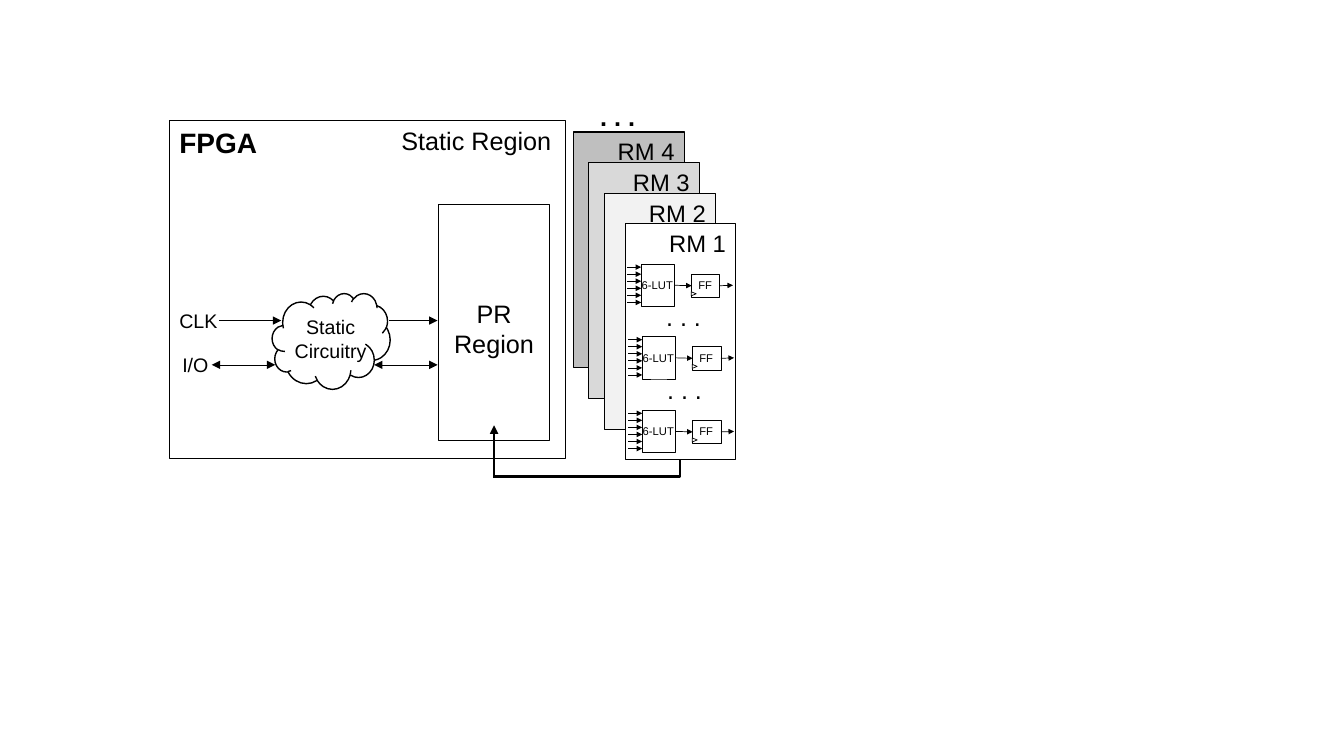
"""Draw an FPGA with a static region and swappable modules for its PR region."""
from lxml import etree
from pptx import Presentation
from pptx.dml.color import RGBColor
from pptx.enum.shapes import MSO_CONNECTOR, MSO_SHAPE
from pptx.enum.text import MSO_ANCHOR, MSO_AUTO_SIZE, PP_ALIGN
from pptx.oxml.ns import qn
from pptx.util import Inches, Pt

RECT, CLOUD, WEDGE = MSO_SHAPE.RECTANGLE, MSO_SHAPE.CLOUD, MSO_SHAPE.ISOSCELES_TRIANGLE
LINE, ELBOW = MSO_CONNECTOR.STRAIGHT, MSO_CONNECTOR.ELBOW
LEFT, MID, RIGHT = PP_ALIGN.LEFT, PP_ALIGN.CENTER, PP_ALIGN.RIGHT
TOP, CENTER = MSO_ANCHOR.TOP, MSO_ANCHOR.MIDDLE
FIT = MSO_AUTO_SIZE.SHAPE_TO_FIT_TEXT

BLACK, WHITE = "000000", "FFFFFF"
MODULES = [
    ("RM 4", 5.69, 1.31, "BFBFBF"),
    ("RM 3", 5.84, 1.61, "D9D9D9"),
    ("RM 2", 6, 1.92, "F2F2F2"),
    ("RM 1", 6.2, 2.22, WHITE),
]
WIRES = [
    ((2.1, 3.62), (2.73, 3.62), True),
    ((2.17, 3.18), (2.79, 3.18), False),
    ((3.71, 3.62), (4.34, 3.62), True),
    ((3.86, 3.18), (4.34, 3.18), False),
]
LABELS = [
    ("PR Region", (4.38, 2.91, 1.04, 0.71), 18, MID),
    ("I/O", (1.71, 3.45, 0.54, 0.34), 14, LEFT),
    ("CLK", (1.68, 3.02, 0.64, 0.34), 14, LEFT),
    ("Static Circuitry", (2.6, 3.08, 1.36, 0.57), 14, MID),
    ("Static Region", (3.77, 1.19, 1.91, 0.4), 18, MID),
]
DOTS = [(5.93, 1.01, 0.39, True), (6.6, 2.99, 0.36, False), (6.61, 3.71, 0.36, False)]
CELLS = [(6.36, 2.62), (6.37, 3.34), (6.37, 4.07)]
INPUTS, PITCH = 6, 0.07


def color(code):
    return RGBColor.from_string(code)


def write(shape, text, size, align, bold=False, anchor=TOP):
    frame = shape.text_frame
    frame.vertical_anchor = anchor
    frame.word_wrap = True
    para = frame.paragraphs[0]
    para.alignment = align
    run = para.add_run()
    run.text = text
    look = {"name": "Arial", "size": Pt(size), "bold": bold}
    for key, value in look.items():
        setattr(run.font, key, value)
    run.font.color.rgb = color(BLACK)


def box(parent, area, weight, fill=WHITE, kind=RECT):
    shape = parent.add_shape(kind, *map(Inches, area))
    shape.shadow.inherit = False
    shape.fill.solid()
    shape.fill.fore_color.rgb = color(fill)
    shape.line.color.rgb = color(BLACK)
    shape.line.width = Pt(weight)
    return shape


def label(parent, text, area, size, align=MID, bold=False, tight=False, anchor=TOP):
    shape = parent.add_textbox(*map(Inches, area))
    write(shape, text, size, align, bold, anchor)
    frame = shape.text_frame
    frame.auto_size = FIT
    if tight:
        frame.word_wrap = False
        for side in ("left", "right", "top", "bottom"):
            setattr(frame, f"margin_{side}", 0)


def wire(parent, start, end, weight=0.5, heads=("tailEnd",), size="med", kind=LINE):
    link = parent.add_connector(kind, *map(Inches, start + end))
    link.line.color.rgb = color(BLACK)
    link.line.width = Pt(weight)
    props = link._element.spPr
    for head in heads:
        tip = etree.SubElement(props.find(qn("a:ln")), qn(f"a:{head}"))
        for key, value in {"type": "triangle", "w": size, "len": size}.items():
            tip.set(key, value)
    etree.SubElement(props, qn("a:effectLst"))
    return link


def cell(parent, left, top):
    parts = parent.add_group_shape().shapes
    mid = top + 0.21
    table = box(parts, (left, top, 0.33, 0.42), 0.5)
    flop = box(parts, (left + 0.5, top + 0.1, 0.28, 0.23), 0.5)
    link = wire(parts, (left + 0.33, mid), (left + 0.5, mid), size="sm")
    link.begin_connect(table, 3)
    link.end_connect(flop, 1)
    label(parts, "6-LUT", (left - 0.04, top + 0.16, 0.4, 0.1), 8, tight=True, anchor=CENTER)
    for row in range(INPUTS):
        y = top + 0.03 + row * PITCH
        wire(parts, (left - 0.14, y), (left, y), size="sm")
    label(parts, "FF", (left + 0.55, top + 0.16, 0.17, 0.1), 8, tight=True, anchor=CENTER)
    clock = box(parts, (left + 0.5, top + 0.27, 0.04, 0.05), 0.5, kind=WEDGE)
    clock.rotation = 90
    out = wire(parts, (left + 0.78, mid), (left + 0.91, mid), size="sm")
    out.begin_connect(flop, 3)


def main():
    deck = Presentation()
    deck.slide_width, deck.slide_height = Inches(13.33), Inches(7.5)
    shapes = deck.slides.add_slide(deck.slide_layouts[6]).shapes

    for name, left, top, fill in MODULES:
        module = box(shapes, (left, top, 1.1, 2.34), 0.75, fill)
        write(module, name, 17, RIGHT)
    chip = box(shapes, (1.68, 1.2, 3.93, 3.35), 0.75)
    write(chip, "FPGA", 20, LEFT, bold=True)
    box(shapes, (4.35, 2.03, 1.1, 2.34), 0.75)

    wire(shapes, (4.9, 4.74), (4.9, 4.22), 2)
    bend = wire(shapes, (5.74, 3.72), (5.9, 5.57), 2, (), kind=ELBOW)
    props = bend._element.spPr
    props.find(qn("a:prstGeom")).set("prst", "bentConnector2")
    props.find(qn("a:xfrm")).set("rot", "5400000")

    box(shapes, (2.7, 2.91, 1.17, 0.95), 1, kind=CLOUD)
    for start, end, both in WIRES:
        wire(shapes, start, end, heads=("headEnd", "tailEnd") if both else ("tailEnd",))
    for text, area, size, align in LABELS:
        label(shapes, text, area, size, align)
    for left, top in CELLS:
        cell(shapes, left, top)
    for left, top, width, bold in DOTS:
        label(shapes, ". . .", (left, top, width, 0.3), 18, bold=bold, tight=True)
    deck.save("out.pptx")


if __name__ == "__main__":
    main()
